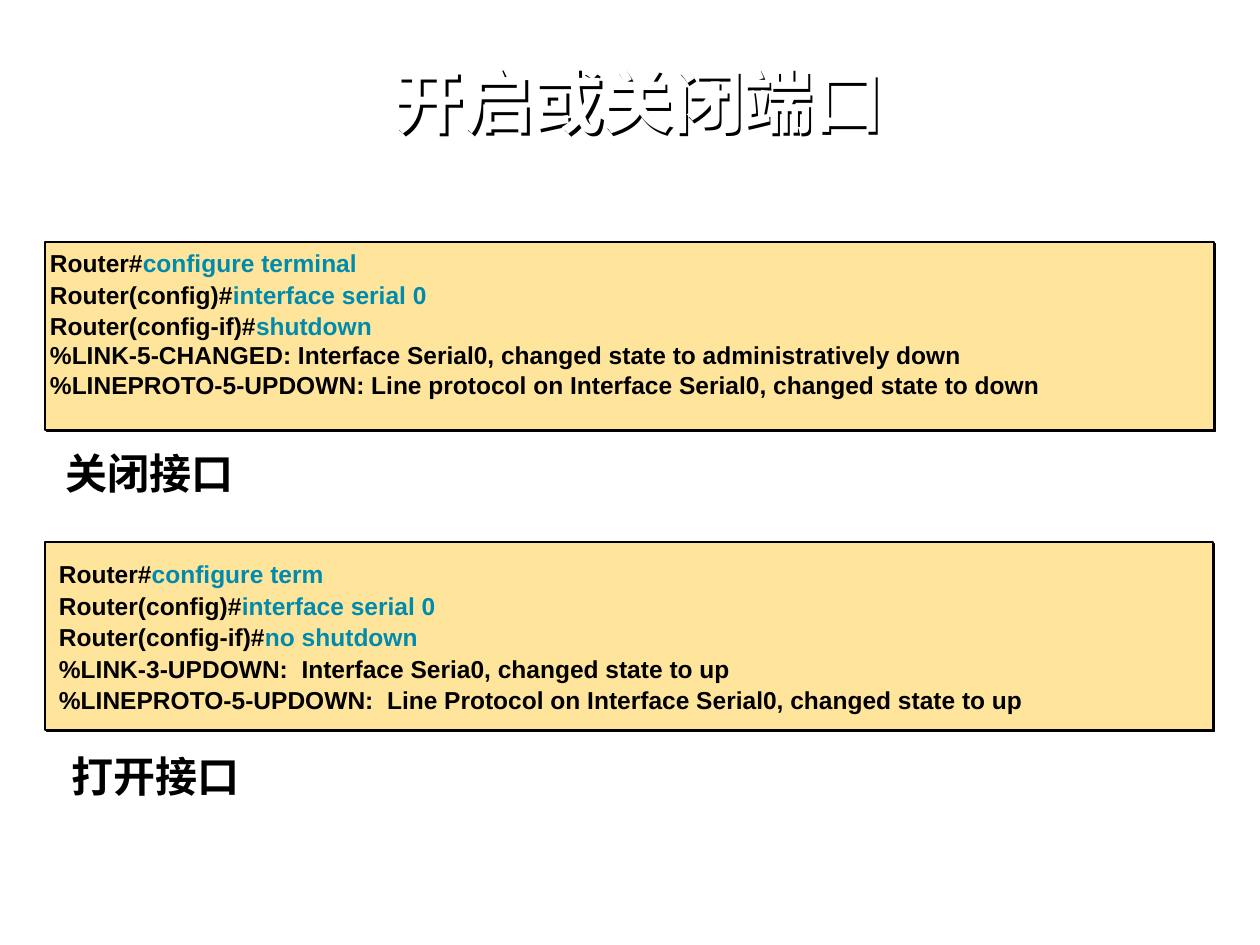
from dataclasses import dataclass

from lxml.etree import SubElement
from pptx import Presentation
from pptx.dml.color import RGBColor
from pptx.enum.shapes import MSO_SHAPE as Shape
from pptx.enum.text import MSO_ANCHOR as Anchor, PP_ALIGN as Align
from pptx.oxml.ns import qn
from pptx.util import Emu, Pt

SCALE = 914400 / 126


@dataclass(frozen=True)
class Theme:
    """Colours, type sizes and shadow depths of the slide."""
    font: str = "Arial"
    white: RGBColor = RGBColor(0xFF, 0xFF, 0xFF)
    ink: RGBColor = RGBColor(0, 0, 0)
    command: RGBColor = RGBColor(0x00, 0x8A, 0xAE)
    panel: RGBColor = RGBColor(0xFF, 0xE5, 0x9B)
    title_size: Pt = Pt(40)
    caption_size: Pt = Pt(24)
    console_size: Pt = Pt(14)
    console_leading: Pt = Pt(18)
    title_shadow: Pt = Pt(2)
    panel_shadow: Pt = Pt(1.4)


THEME = Theme()


def px(length):
    """Turn pixels into EMU."""
    return Emu(round(length * SCALE))


def place(box):
    """Turn a left, top, width, height box into EMU."""
    return [px(length) for length in box]


def set_font(font, size, color):
    """Apply the bold slide face in one size and colour."""
    font.name, font.size, font.bold = THEME.font, size, True
    font.color.rgb = color


def set_frame(frame, anchor, side, end):
    """Set wrapping, anchoring and insets of a text frame."""
    frame.word_wrap = True
    frame.vertical_anchor = anchor
    frame.margin_left = frame.margin_right = px(side)
    frame.margin_top = frame.margin_bottom = px(end)


def add_shadow(shape, distance):
    """Give a shape a hard black shadow falling to the lower right."""
    shape.shadow.inherit = False
    effects = shape._element.spPr.find(qn("a:effectLst"))
    shadow = SubElement(effects, qn("a:outerShdw"), dist=str(distance),
                        dir="2700000", algn="ctr", rotWithShape="0")
    SubElement(shadow, qn("a:srgbClr"), val=str(THEME.ink))


def add_title(page, box, text):
    """Fill the title placeholder with shadowed white text."""
    title = page.shapes.title
    title.left, title.top, title.width, title.height = place(box)
    title.fill.background()
    title.line.fill.background()
    add_shadow(title, THEME.title_shadow)
    set_frame(title.text_frame, Anchor.MIDDLE, 11, 5)
    para = title.text_frame.paragraphs[0]
    para.text, para.alignment, para.line_spacing = text, Align.CENTER, 0.9
    set_font(para.font, THEME.title_size, THEME.white)


def add_console(page, box, inset, lines, spaced):
    """Draw a panel with router lines; the first `spaced` get fixed leading."""
    panel = page.shapes.add_shape(Shape.RECTANGLE, *place(box))
    panel.fill.solid()
    panel.fill.fore_color.rgb = THEME.panel
    panel.line.color.rgb, panel.line.width = THEME.ink, Pt(1)
    add_shadow(panel, THEME.panel_shadow)

    left, top, width, height = box
    shift, drop = inset
    text_box = (left + shift, top + drop, width - 2 * shift, height)
    frame = page.shapes.add_textbox(*place(text_box)).text_frame
    set_frame(frame, Anchor.TOP, 3, 4)
    for index, (prompt, command) in enumerate(lines):
        para = frame.add_paragraph() if index else frame.paragraphs[0]
        set_font(para.font, THEME.console_size, THEME.ink)
        if index < spaced:
            para.line_spacing = THEME.console_leading
        para.add_run().text = prompt
        if command:
            span = para.add_run()
            span.text = command
            span.font.color.rgb = THEME.command


def add_caption(page, box, text):
    """Write the bold caption under a console panel."""
    frame = page.shapes.add_textbox(*place(box)).text_frame
    set_frame(frame, Anchor.MIDDLE, 11, 5)
    para = frame.paragraphs[0]
    para.text, para.alignment = text, Align.CENTER
    para.line_spacing, para.space_before = 0.95, Pt(18)
    set_font(para.font, THEME.caption_size, THEME.ink)


def main():
    """Build the slide and save it."""
    deck = Presentation()
    deck.slide_width, deck.slide_height = px(1260), px(945)
    page = deck.slides.add_slide(deck.slide_layouts[5])
    add_title(page, (113, 26, 1051, 158), "开启或关闭端口")

    add_console(page, (45, 242, 1169, 188), (2, 0), [
        ("Router#", "configure terminal"),
        ("Router(config)#", "interface serial 0"),
        ("Router(config-if)#", "shutdown"),
        ("%LINK-5-CHANGED: Interface Serial0, changed state to administratively down", ""),
        ("%LINEPROTO-5-UPDOWN: Line protocol on Interface Serial0, changed state to down", ""),
    ], spaced=3)
    add_caption(page, (48, 437, 204, 76), "关闭接口")

    add_console(page, (45, 542, 1168, 188), (11, 11), [
        ("Router#", "configure term"),
        ("Router(config)#", "interface serial 0"),
        ("Router(config-if)#", "no shutdown"),
        ("%LINK-3-UPDOWN:  Interface Seria0, changed state to up", ""),
        ("%LINEPROTO-5-UPDOWN:  Line Protocol on Interface Serial0, changed state to up", ""),
    ], spaced=5)
    add_caption(page, (48, 738, 215, 81), "打开接口")
    deck.save("out.pptx")


if __name__ == "__main__":
    main()
